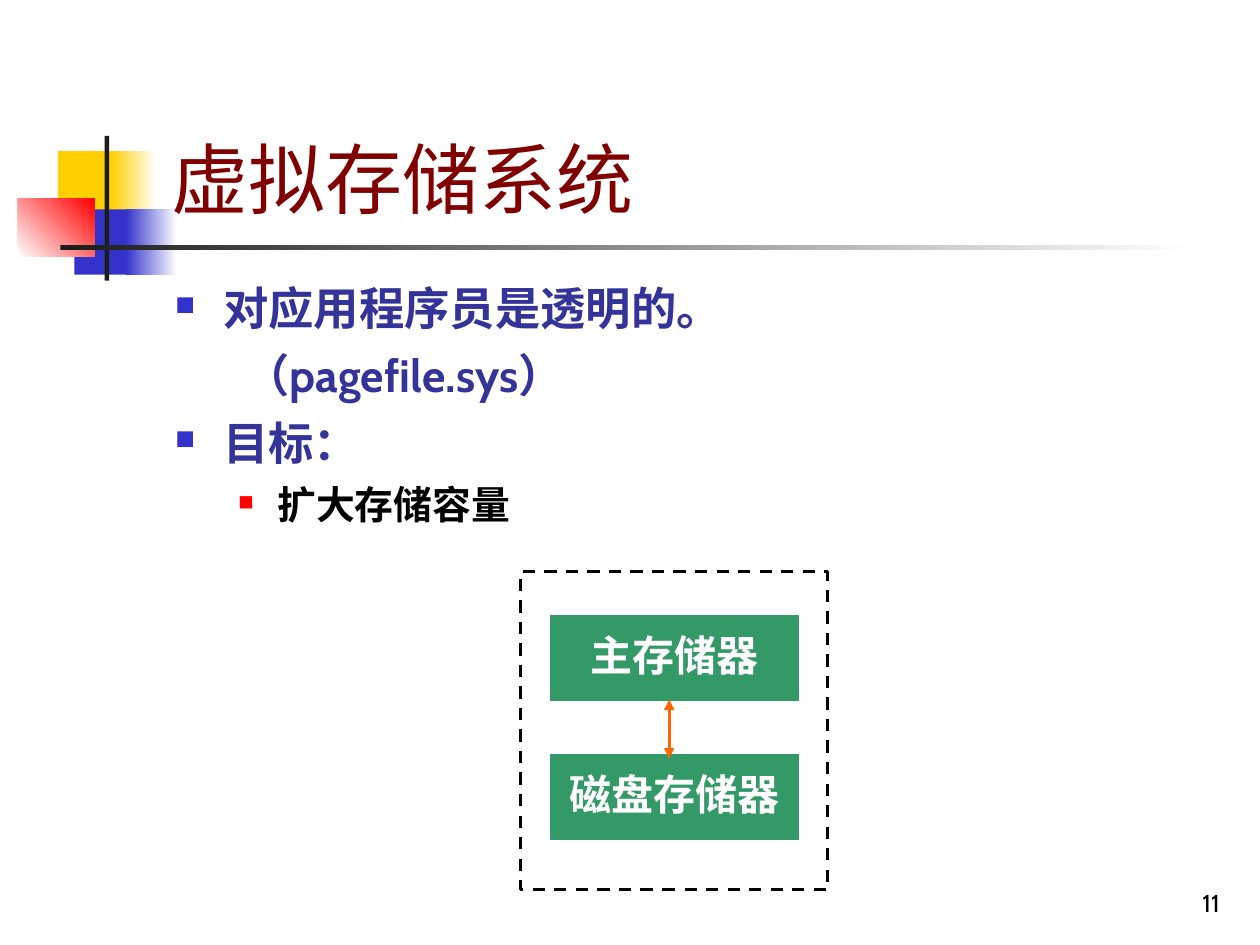
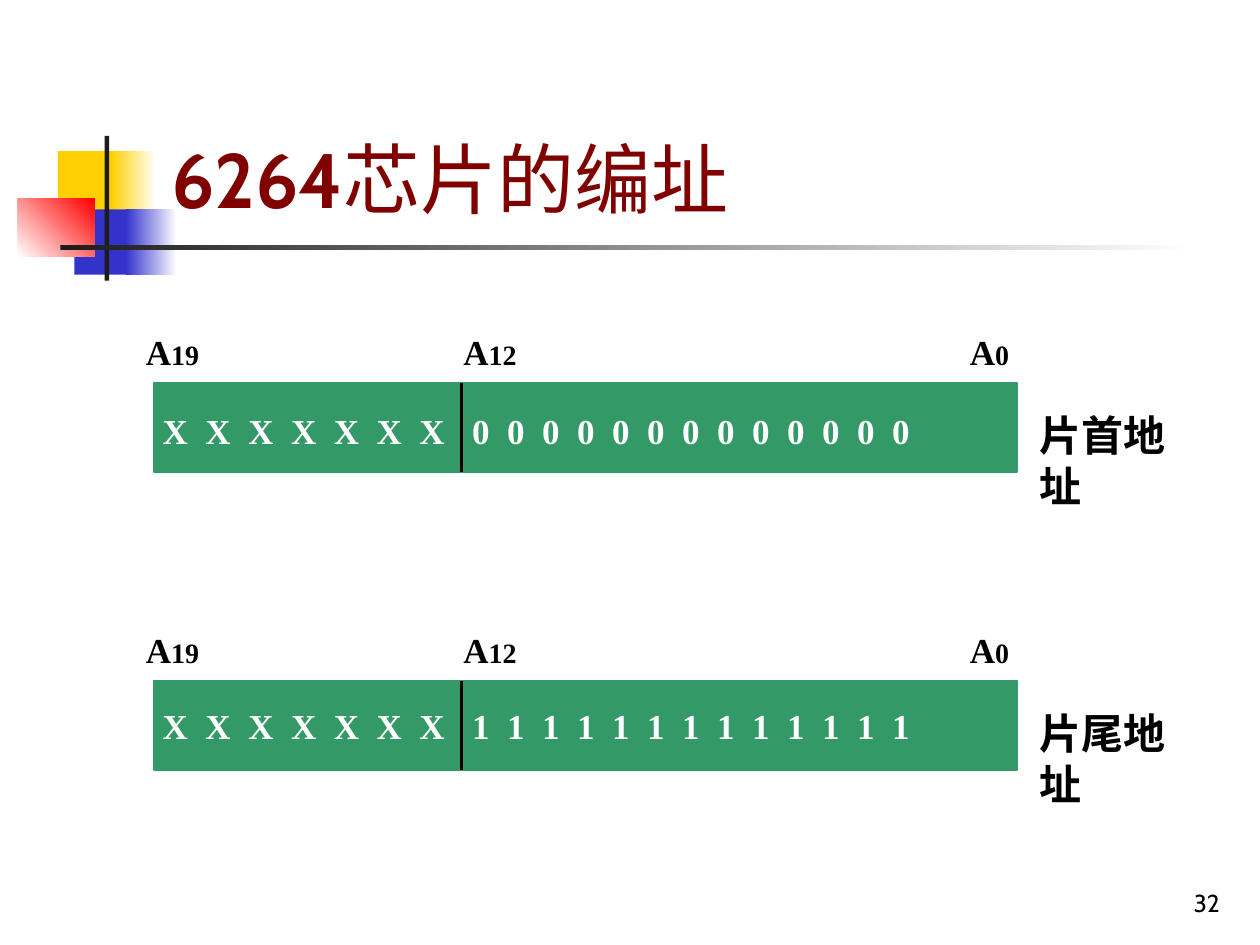
from lxml.etree import SubElement
from pptx import Presentation
from pptx.dml.color import RGBColor
from pptx.enum.dml import MSO_LINE
from pptx.enum.lang import MSO_LANGUAGE_ID as Lang
from pptx.enum.shapes import MSO_CONNECTOR as Connector, MSO_SHAPE as Shape
from pptx.enum.text import MSO_ANCHOR as Anchor, PP_ALIGN as Align
from pptx.oxml.ns import qn
from pptx.util import Cm, Pt

COLORS = {
    "yellow": "FFCF01", "blue": "3333CC", "red": "FF0000", "ink": "1C1C1C",
    "white": "FFFFFF", "black": "000000", "title": "800000", "body": "333399",
    "green": "339966", "arrow": "FF6600",
}
SANS, SERIF = "Cabin", "Times New Roman"

# left, top, width, height, colours from start to end, angle
ORNAMENT = [
    (1.17, 3.05, 1.22, 1.32, ["yellow"], 0),
    (2.24, 3.05, 0.91, 1.32, ["yellow", "white"], 0),
    (1.5, 4.22, 1.17, 1.32, ["blue"], 0),
    (2.54, 4.22, 1.02, 1.32, ["blue", "white"], 0),
    (0.36, 4.01, 1.55, 1.17, ["white", "red"], 45),
    (2.11, 2.74, 0.09, 2.92, ["ink"], 0),
    (1.22, 4.94, 22.86, 0.1, ["ink", "white"], 0),
]


def rgb(name):
    return RGBColor.from_string(COLORS[name])


class Deck:
    def __init__(self):
        self.prs = Presentation()
        self.prs.slide_width, self.prs.slide_height = Cm(25.4), Cm(19.05)
        self.slide = None

    def new_slide(self, title_runs, number):
        """Start a slide with the ornament, page number and title."""
        self.slide = self.prs.slides.add_slide(self.prs.slide_layouts[6])
        for *place, colors, angle in ORNAMENT:
            self.rect(place, colors, angle)
        page = self.text_box((19.56, 17.35, 5.28, 1.27), Anchor.BOTTOM)
        self.add_runs(page.paragraphs[0], [(number, 14, False)], "black", SANS, Align.RIGHT)
        title = self.text_box((3.2, 0.58, 21.64, 4.06), Anchor.BOTTOM)
        self.add_runs(title.paragraphs[0], title_runs, "title", SANS)

    def rect(self, place, colors=(), angle=0, line=None, width=1):
        shape = self.slide.shapes.add_shape(Shape.RECTANGLE, *map(Cm, place))
        shape.shadow.inherit = False
        if len(colors) == 2:
            shape.fill.gradient()
            shape.fill.gradient_angle = angle
            for stop, color, position in zip(shape.fill.gradient_stops, colors, (0, 1)):
                stop.color.rgb = rgb(color)
                stop.position = position
        elif colors:
            shape.fill.solid()
            shape.fill.fore_color.rgb = rgb(colors[0])
        else:
            shape.fill.background()
        if line:
            shape.line.color.rgb = rgb(line)
            shape.line.width = Pt(width)
        else:
            shape.line.fill.background()
        return shape

    def line(self, start, end, color, arrows=False):
        line = self.slide.shapes.add_connector(Connector.STRAIGHT, *map(Cm, start + end))
        line.line.color.rgb = rgb(color)
        line.line.width = Pt(1.75)
        if arrows:
            for tag in ("a:headEnd", "a:tailEnd"):
                SubElement(line.line._get_or_add_ln(), qn(tag), type="triangle")
        SubElement(line._element.spPr, qn("a:effectLst"))

    def text_box(self, place, anchor=Anchor.TOP):
        frame = self.slide.shapes.add_textbox(*map(Cm, place)).text_frame
        frame.word_wrap = True
        frame.vertical_anchor = anchor
        return frame

    def add_runs(self, paragraph, runs, color, font, align=Align.LEFT, tracking=0):
        """Add (text, size, bold) runs; tracking is extra letter spacing in points."""
        paragraph.alignment = align
        for text, size, bold in runs:
            run = paragraph.add_run()
            run.text = text
            run.font.size, run.font.bold, run.font.name = Pt(size), bold, font
            run.font.color.rgb = rgb(color)
            run.font.language_id = Lang.SIMPLIFIED_CHINESE
            if tracking:
                run._r.get_or_add_rPr().set("spc", str(int(tracking * 100)))

    def label(self, place, runs, color="black", tracking=0):
        paragraph = self.text_box(place).paragraphs[0]
        self.add_runs(paragraph, runs, color, SERIF, tracking=tracking)

    def indent(self, paragraph, left, first=0, bullet=None, percent=60):
        props = paragraph._p.get_or_add_pPr()
        props.set("marL", str(Cm(left)))
        props.set("indent", str(Cm(first)))
        if not bullet:
            SubElement(props, qn("a:buNone"))
            return
        SubElement(SubElement(props, qn("a:buClr")), qn("a:srgbClr"), val=COLORS[bullet])
        SubElement(props, qn("a:buSzPct"), val=str(percent * 1000))
        SubElement(props, qn("a:buFont"), typeface="Wingdings")
        SubElement(props, qn("a:buChar"), char="n")

    def outline(self, place, items):
        """Fill a box with items: text, size, colour, space before and after, indent."""
        frame = self.text_box(place)
        for i, (text, size, color, before, after, indent) in enumerate(items):
            paragraph = frame.add_paragraph() if i else frame.paragraphs[0]
            self.indent(paragraph, **indent)
            paragraph.line_spacing = 0.95
            paragraph.space_before = Pt(before if i else 0)
            paragraph.space_after = Pt(after)
            self.add_runs(paragraph, [(text, size, True)], color, SANS)


def virtual_memory_slide(deck):
    deck.new_slide([("虚拟存储系统", 44, False)], "11")
    point = dict(left=0.97, first=-0.97, bullet="blue")
    subpoint = dict(left=2.06, first=-0.79, bullet="red", percent=55)
    deck.outline((3.28, 5.61, 15, 4.93), [
        ("对应用程序员是透明的。", 25.9, "body", 7, 1.8, point),
        ("（pagefile.sys）", 25.9, "body", 7, 1.8, dict(left=1.4)),
        ("目标：", 25.9, "body", 7, 1.8, point),
        ("扩大存储容量", 22.2, "black", 6, 1.5, subpoint),
    ])
    for i, storage in enumerate(["主存储器", "磁盘存储器"]):
        box = deck.rect((11.1, 12.42 + i * 2.79, 5, 1.7), ["green"], line="green")
        box.text_frame.vertical_anchor = Anchor.TOP
        paragraph = box.text_frame.paragraphs[0]
        paragraph.line_spacing = 1.15
        deck.add_runs(paragraph, [(storage, 24, True)], "white", SERIF, Align.CENTER)
    system = deck.rect((10.49, 11.53, 6.2, 6.4), line="black", width=1.75)
    system.line.dash_style = MSO_LINE.DASH
    deck.line((13.49, 14.1), (13.49, 15.29), "arrow", arrows=True)


def address_row(deck, top, bits_top, bit, caption):
    """Draw one 20-bit address: seven free high bits, thirteen fixed low bits."""
    deck.rect((3.1, top, 17.4, 1.8), ["green"], line="green")
    deck.line((9.3, top), (9.3, top + 1.8), "black")
    deck.label((20.7, top + 0.42, 3.2, 2.29), [(caption, 24, True)])
    for left, index in [(2.69, "19"), (9.09, "12"), (19.3, "0")]:
        deck.label((left, top - 1.18, 2, 1.12), [("A", 20, True), (index, 16, True)])
    for left, width, symbol, count in [(3.03, 6.4, "X", 7), (9.27, 11.4, bit, 13)]:
        bits = " ".join([symbol] * count)
        deck.label((left, bits_top, width, 1.12), [(bits, 20, True)], "white", tracking=2.5)


def chip_address_slide(deck):
    deck.new_slide([("6264", 44, True), ("芯片的编址", 44, False)], "32")
    address_row(deck, 7.72, 8.13, "0", "片首地址")
    address_row(deck, 13.72, 14.07, "1", "片尾地址")


def main():
    deck = Deck()
    virtual_memory_slide(deck)
    chip_address_slide(deck)
    deck.prs.save("out.pptx")


if __name__ == "__main__":
    main()
